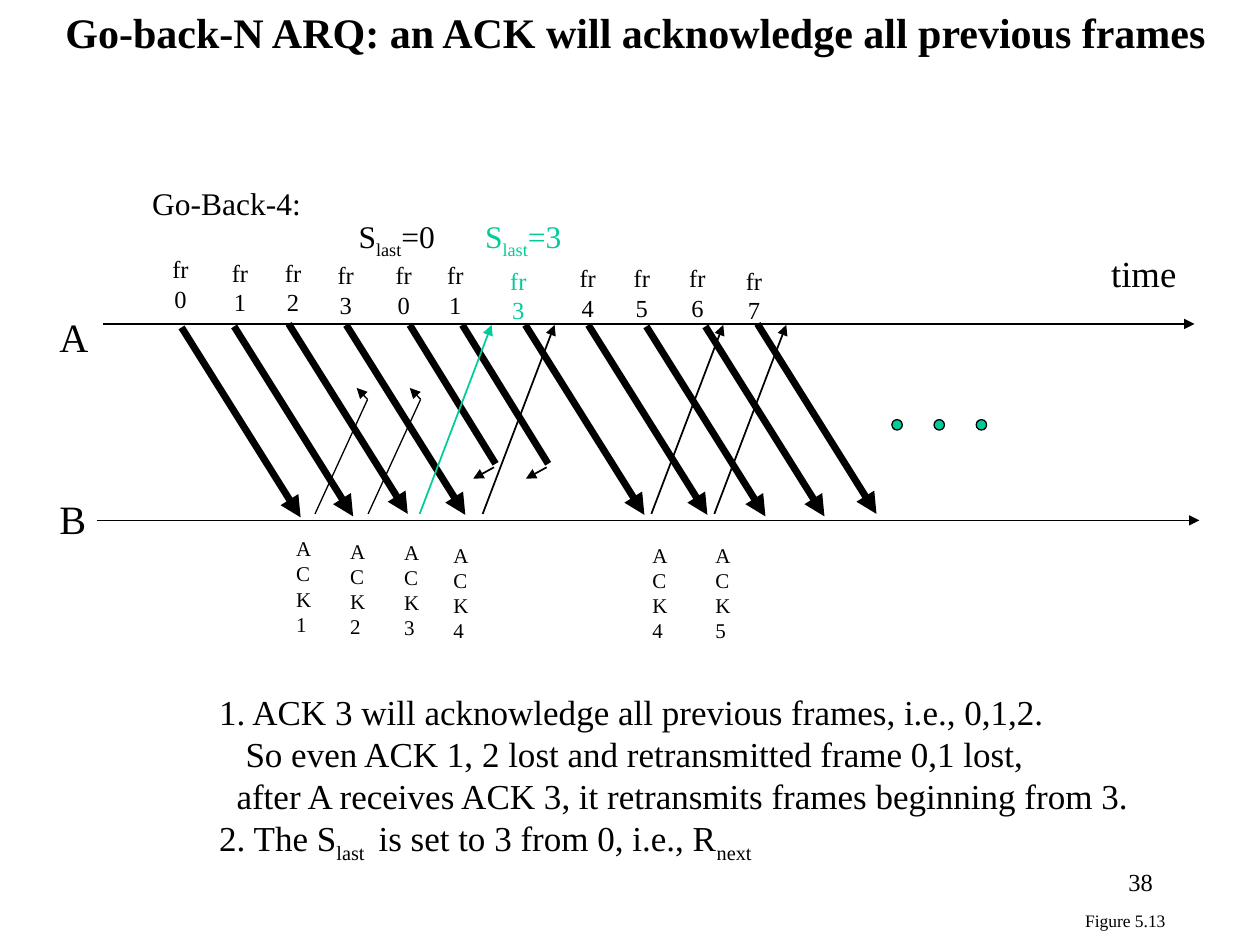
from lxml import etree
from pptx import Presentation
from pptx.dml.color import RGBColor
from pptx.enum.shapes import MSO_CONNECTOR, MSO_SHAPE
from pptx.enum.text import MSO_ANCHOR, PP_ALIGN
from pptx.oxml.ns import qn
from pptx.util import Cm, Pt

LEFT, CENTER, RIGHT = PP_ALIGN.LEFT, PP_ALIGN.CENTER, PP_ALIGN.RIGHT
TOP, MIDDLE = MSO_ANCHOR.TOP, MSO_ANCHOR.MIDDLE
STRAIGHT, OVAL = MSO_CONNECTOR.STRAIGHT, MSO_SHAPE.OVAL

COLORS = {"black": "000000", "green": "00CC99"}
FONT = "Times New Roman"
NARROW, WIDE = (0.25, 0.13), (0.38, 0.2)


def rgb(name):
    """Return the named colour."""
    return RGBColor.from_string(COLORS[name])


class Board:
    """Holds the style and the current slide; lengths are centimetres."""

    def __init__(self, s):
        """Keep the slide."""
        self.s = s

    def text(self, x, y, w, h, lines, size, color="black", align=LEFT, bold=False,
             wrap=False, inset=NARROW, anchor=TOP, indents=(), before=0):
        """Add a text box; the parts between bars are subscripts."""
        tf = self.s.shapes.add_textbox(Cm(x), Cm(y), Cm(w), Cm(h)).text_frame
        tf.word_wrap = wrap
        tf.vertical_anchor = anchor
        tf.margin_left = tf.margin_right = Cm(inset[0])
        tf.margin_top = tf.margin_bottom = Cm(inset[1])
        for i, line in enumerate(lines):
            p = tf.add_paragraph() if i else tf.paragraphs[0]
            p.alignment = align
            p.space_before = Pt(before)
            p.font.name, p.font.size, p.font.bold = FONT, Pt(size), bold
            p.font.color.rgb = rgb(color)
            if indents:
                p._p.get_or_add_pPr().set("marL", str(Cm(indents[i])))
            for j, part in enumerate(line.split("|")):
                r = p.add_run()
                r.text = part
                if j % 2:
                    r._r.get_or_add_rPr().set("baseline", "-25000")

    def line(self, x1, y1, x2, y2, width=1.0, color="black", arrow=True):
        """Add a straight line, with an arrowhead at its end if wanted."""
        sp = self.s.shapes.add_connector(STRAIGHT, Cm(x1), Cm(y1), Cm(x2), Cm(y2))
        sp.line.width = Pt(width)
        sp.line.color.rgb = rgb(color)
        if arrow:
            etree.SubElement(sp.line._get_or_add_ln(), qn("a:tailEnd"), type="triangle")
        etree.SubElement(sp._element.spPr, qn("a:effectLst"))

    def dot(self, x, y, d):
        """Add a small green disc."""
        sp = self.s.shapes.add_shape(OVAL, Cm(x), Cm(y), Cm(d), Cm(d))
        sp.shadow.inherit = False
        sp.fill.solid()
        sp.fill.fore_color.rgb = rgb("green")
        sp.line.color.rgb = rgb("black")
        sp.line.width = Pt(0.75)


def draw_timelines(b):
    """Draw the two time axes with their names."""
    b.line(2.08, 6.53, 24.08, 6.53)
    b.line(1.96, 10.49, 24.18, 10.49)
    for name, y in (("A", 6.1), ("B", 9.76)):
        b.text(0.82, y, 1.4, 1.4, [name], 23, inset=WIDE)
    b.text(22.02, 4.85, 2.08, 1.27, ["time"], 21, inset=WIDE)


def draw_frames(b):
    """Draw the frames sent by A and their labels."""
    labels = ((3.64, 4.93, 0), (4.84, 5.0, 1), (5.91, 5.0, 2), (6.97, 5.05, 3),
              (8.14, 5.05, 0), (9.18, 5.05, 1), (10.45, 5.16, 3), (11.85, 5.11, 4),
              (12.94, 5.11, 5), (14.06, 5.11, 6), (15.2, 5.16, 7))
    for i, (x, y, number) in enumerate(labels):
        color = "green" if i == 6 else "black"
        b.text(x - 0.7, y, 1.4, 1.57, ["fr", str(number)], 14, color, CENTER, inset=WIDE)
    received = ((3.66, 6.6), (4.72, 6.58), (5.82, 6.53), (6.98, 6.55), (10.59, 6.55),
                (11.86, 6.55), (13.03, 6.58), (14.22, 6.58), (15.27, 6.53))
    for x, y in received:
        b.line(x, y, x + 2.4, y + 3.83, 4)
    for x in (8.26, 9.32):
        b.line(x, 6.55, x + 1.73, 9.35, 4, arrow=False)
        b.line(x + 1.7, 9.42, x + 1.28, 9.65)


def draw_acks(b):
    """Draw the acknowledgements sent by B and their labels."""
    for x in (6.35, 7.42):
        b.line(x, 10.36, x + 1.06, 8.05, 0.75, arrow=False)
        b.line(x + 1.06, 8.05, x + 0.84, 7.82, 0.75)
    for x, color in ((8.46, "green"), (9.73, "black"), (13.13, "black"), (14.4, "black")):
        b.line(x, 10.36, x + 1.45, 6.55, color=color)
    labels = ((5.72, 10.67, 1), (6.81, 10.72, 2), (7.9, 10.74, 3),
              (8.89, 10.8, 4), (12.9, 10.8, 4), (14.17, 10.8, 5))
    for x, y, number in labels:
        b.text(x, y, 0.85, 2.29, [f"ACK{number}"], 12, wrap=True)


def draw_notes(b):
    """Write the title, the window labels, the remarks and the footer."""
    b.text(1.07, 0, 23.6, 1.27,
           ["Go-back-N ARQ: an ACK will acknowledge all previous frames"], 24, bold=True)
    b.text(2.82, 3.58, 3.5, 1.02, ["Go-Back-4:"], 18)
    b.text(6.98, 4.24, 2.2, 1.12, ["S|last|=0"], 18)
    b.text(9.53, 4.24, 2.2, 1.12, ["S|last|=3"], 18, "green")
    remarks = ["1. ACK 3 will acknowledge all previous frames, i.e., 0,1,2.",
               "So even ACK 1, 2 lost and retransmitted frame 0,1 lost,",
               "after A receives ACK 3, it retransmits frames beginning from 3.",
               "2. The S|last | is set to 3 from 0, i.e., R|next"]
    b.text(4.17, 13.79, 18.95, 3.76, remarks, 20, indents=(0, 0.53, 0.35, 0))
    b.text(18.21, 17.35, 5.28, 1.27, ["38"], 14, align=RIGHT, wrap=True)
    b.text(21.62, 18.21, 2.13, 0.69, ["Figure 5.13"], 10, align=CENTER,
           anchor=MIDDLE, before=6.2)


def main():
    """Build the slide and save it."""
    prs = Presentation()
    prs.slide_width, prs.slide_height = Cm(25.4), Cm(19.05)
    b = Board(prs.slides.add_slide(prs.slide_layouts[6]))
    draw_timelines(b)
    draw_frames(b)
    draw_acks(b)
    for i in range(3):
        b.dot(17.98 + 0.85 * i, 8.46, 0.21)
    draw_notes(b)
    prs.save("out.pptx")


main()
